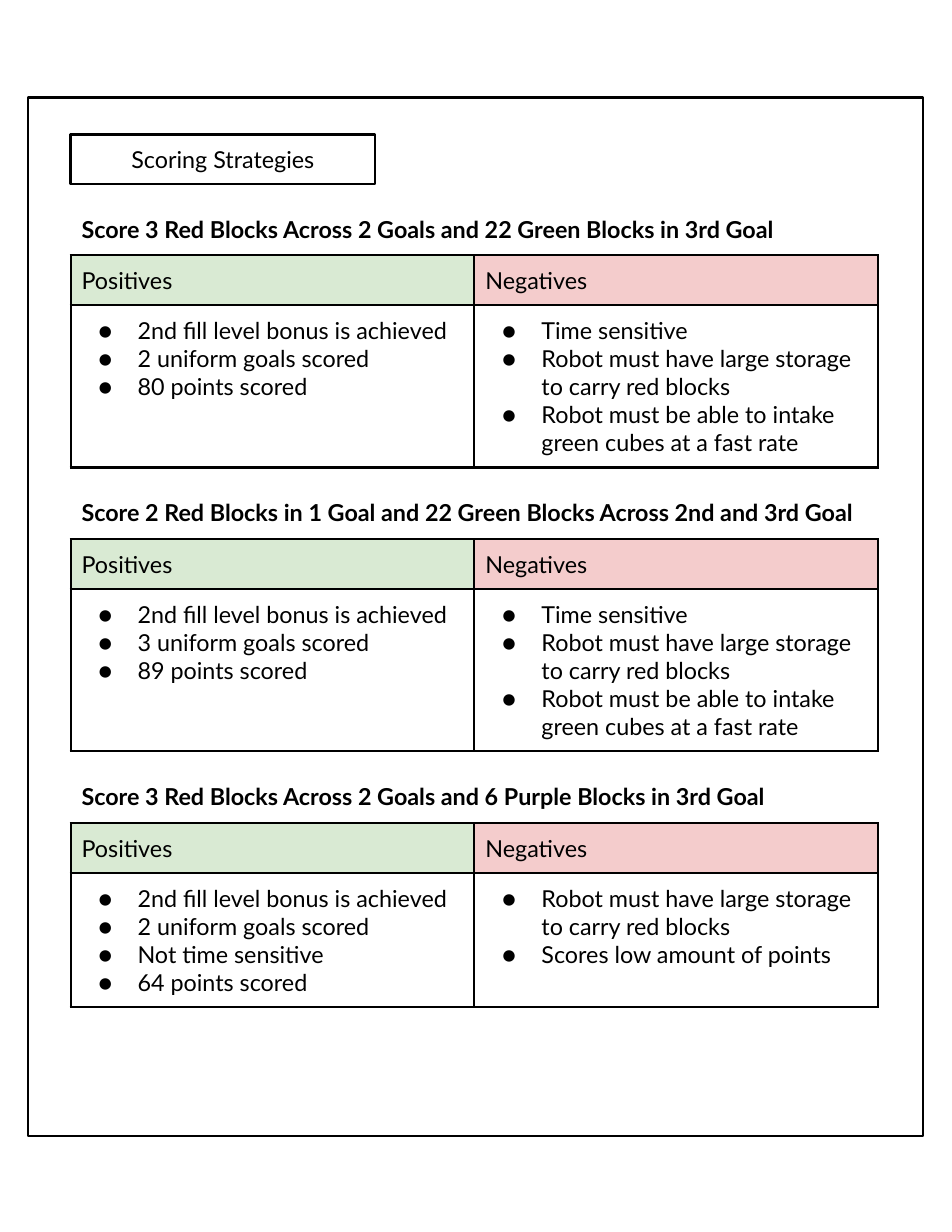
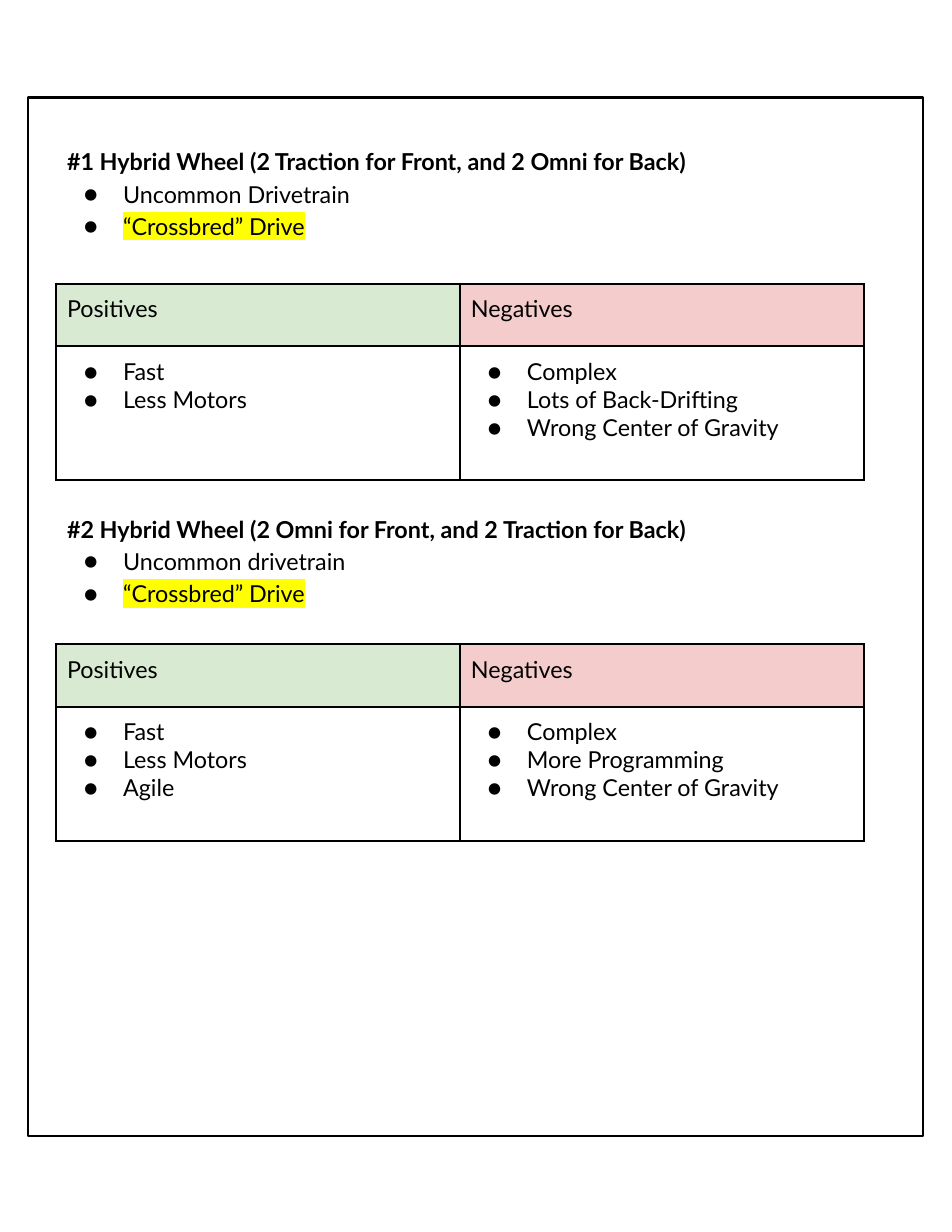
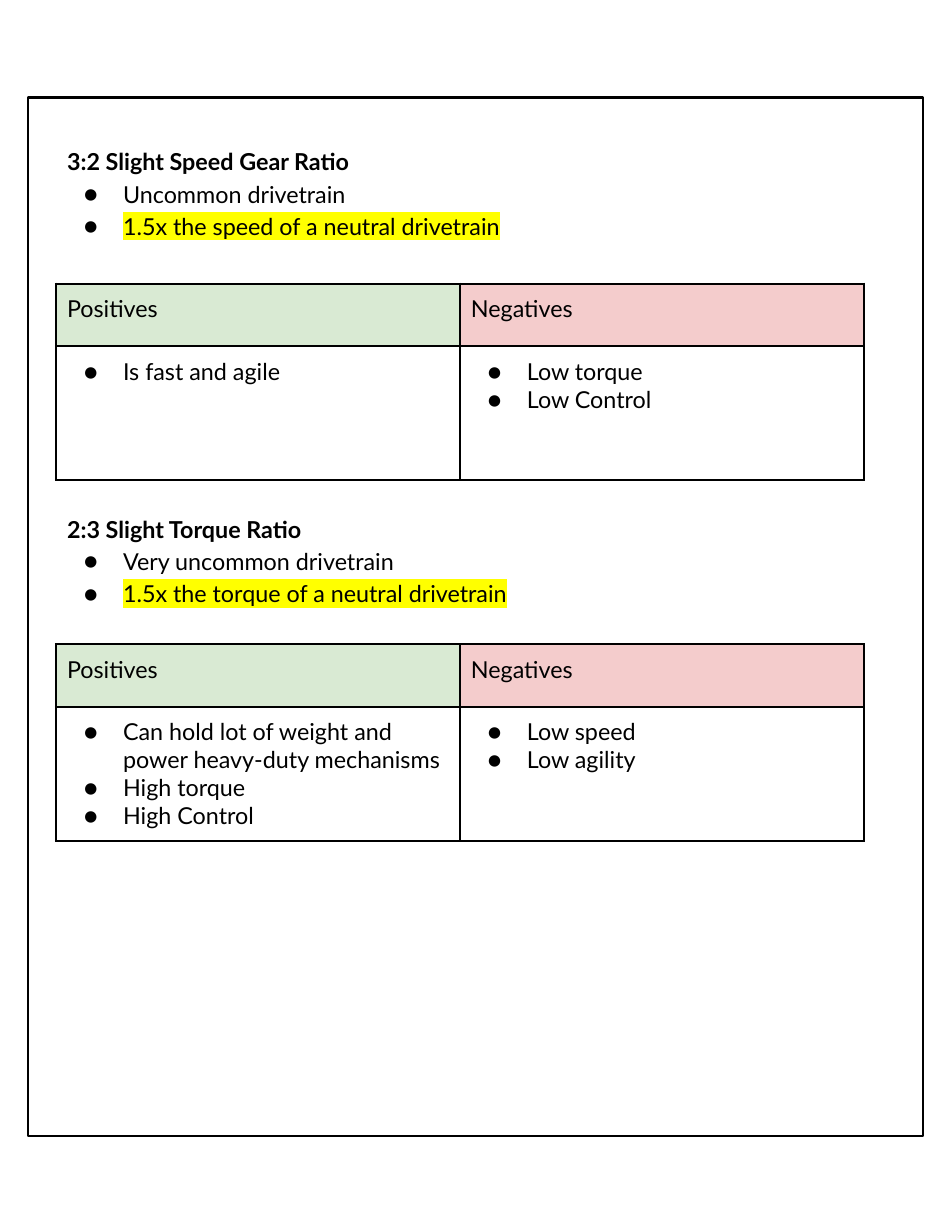
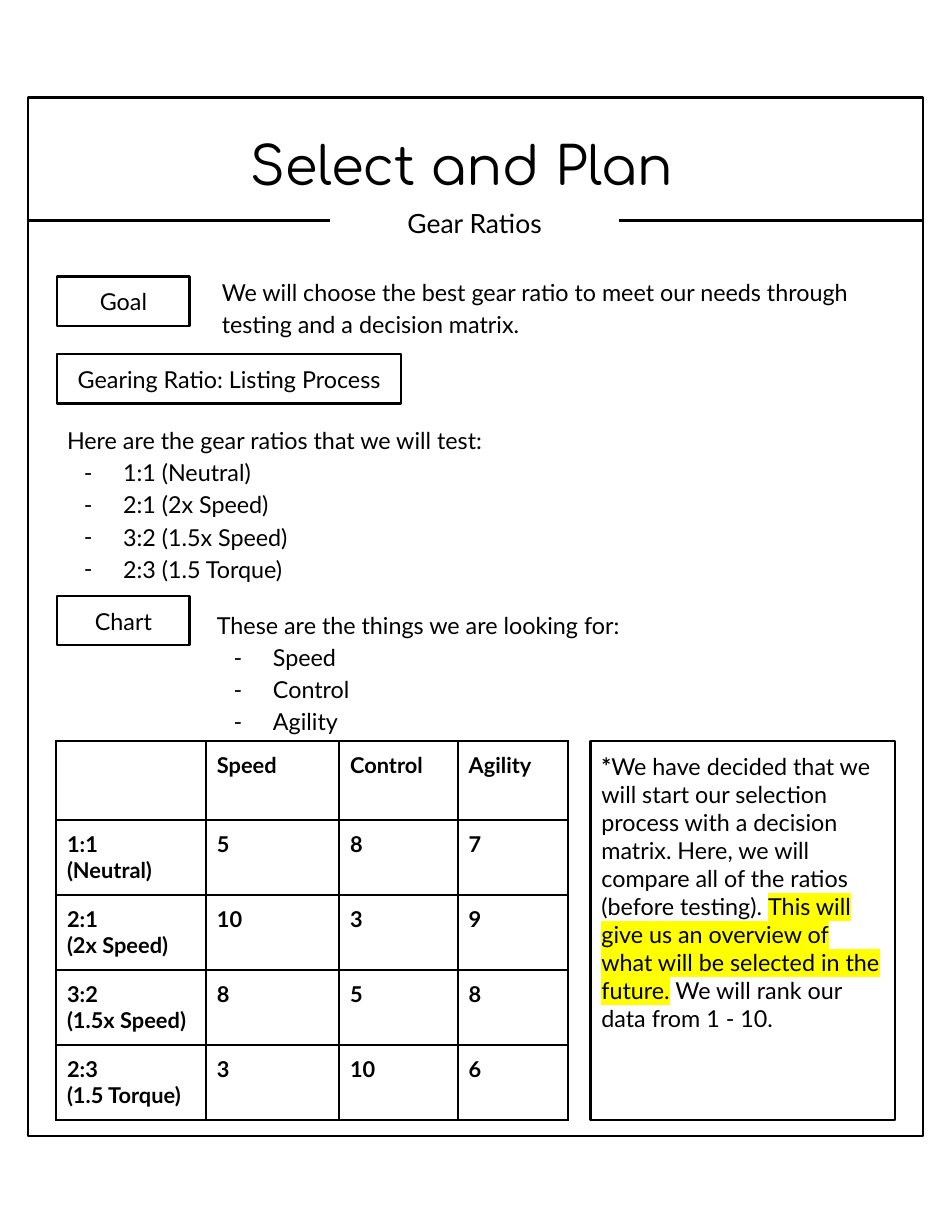
from dataclasses import dataclass

from lxml import etree
from pptx import Presentation
from pptx.dml.color import RGBColor as Rgb
from pptx.enum.shapes import MSO_CONNECTOR as Connector, MSO_SHAPE as Shape
from pptx.enum.text import MSO_ANCHOR as Anchor, MSO_AUTO_SIZE as AutoSize, PP_ALIGN as Align
from pptx.oxml.ns import qn
from pptx.util import Cm, Pt


# ---- Theme and text model ----
@dataclass(frozen=True)
class Theme:
    ink: str = "000000"
    positive: str = "D9EAD3"
    negative: str = "F4CCCC"
    marker: str = "FFFF00"
    font: str = "Lato"
    title_font: str = "Comfortaa"
    title: int = 34
    subtitle: int = 17
    body: int = 15
    grid: int = 14
    rule: float = 1.5
    inset: float = 0.25
    spacing: float = 1.15


@dataclass(frozen=True)
class Line:
    text: str
    bullet: str = ""
    bold: bool = False
    marked: bool = False


THEME = Theme()
TITLE_ONLY, TWO_CONTENT = 5, 3
TAG_HEIGHT = 1.12
COLUMN_WIDTH = 9.16


def bulleted(items, bullet="●"):
    return [Line(item, bullet) for item in items]


# ---- Text helpers ----
def add_color(parent, tag, color):
    holder = etree.SubElement(parent, qn(tag))
    etree.SubElement(holder, qn("a:srgbClr"), val=color)
    return holder


def set_bullet(para, bullet):
    props = para._p.get_or_add_pPr()
    if not bullet:
        props.set("marL", "0")
        props.set("indent", "0")
        etree.SubElement(props, qn("a:buNone"))
        return
    props.set("marL", str(Cm(1.27)))
    props.set("indent", str(-Cm(0.89)))
    add_color(props, "a:buClr", THEME.ink)
    etree.SubElement(props, qn("a:buFont"), typeface=THEME.font)
    etree.SubElement(props, qn("a:buChar"), char=bullet)


def highlight(span):
    add_color(span._r.get_or_add_rPr(), "a:highlight", THEME.marker)


def style_para(para, size, bold=False, bullet="", align=Align.LEFT, spacing=1.0, name=THEME.font):
    set_bullet(para, bullet)
    para.alignment = align
    para.line_spacing = spacing
    para.space_before = para.space_after = Pt(0)
    para.font.size = Pt(size)
    para.font.name = name
    para.font.bold = bold
    para.font.color.rgb = Rgb.from_string(THEME.ink)


def write(frame, lines, size=THEME.body, **style):
    for number, line in enumerate(lines):
        para = frame.add_paragraph() if number else frame.paragraphs[0]
        style_para(para, size, line.bold, line.bullet, **style)
        if line.text:
            span = para.add_run()
            span.text = line.text
            if line.marked:
                highlight(span)


def set_frame(box, anchor=Anchor.TOP):
    frame = box.text_frame
    frame.word_wrap = True
    frame.auto_size = AutoSize.NONE
    frame.vertical_anchor = anchor
    frame.margin_left = frame.margin_right = Cm(THEME.inset)
    frame.margin_top = frame.margin_bottom = Cm(THEME.inset)
    return frame


# ---- Shape helpers ----
def place(box, left, top, width, height):
    box.left, box.top, box.width, box.height = Cm(left), Cm(top), Cm(width), Cm(height)


def set_line(line):
    line.color.rgb = Rgb.from_string(THEME.ink)
    line.width = Pt(THEME.rule)


def add_outline(page, left, top, width, height):
    box = page.shapes.add_shape(Shape.RECTANGLE, Cm(left), Cm(top), Cm(width), Cm(height))
    box.shadow.inherit = False
    box.fill.background()
    set_line(box.line)
    return box


def add_tag(page, text, left, top, width):
    box = add_outline(page, left, top, width, TAG_HEIGHT)
    write(set_frame(box), [Line(text)], align=Align.CENTER)


def add_text(page, lines, left, top, width, height, anchor=Anchor.TOP, **style):
    box = page.shapes.add_textbox(Cm(left), Cm(top), Cm(width), Cm(height))
    write(set_frame(box, anchor), lines, **style)
    return box


def fill_placeholder(box, lines, left, top, width, height, anchor=Anchor.TOP, **style):
    place(box, left, top, width, height)
    write(set_frame(box, anchor), lines, **style)


def add_rule(page, start, end, top):
    rule = page.shapes.add_connector(Connector.STRAIGHT, Cm(start), Cm(top), Cm(end), Cm(top))
    set_line(rule.line)
    etree.SubElement(rule._element.spPr, qn("a:effectLst"))
    return rule


def add_page(deck, layout):
    page = deck.slides.add_slide(deck.slide_layouts[layout])
    add_outline(page, 0.64, 2.21, 20.29, 23.55)
    return page


# ---- Table helpers ----
def set_borders(cell):
    props = cell._tc.get_or_add_tcPr()
    for position, side in enumerate(("a:lnL", "a:lnR", "a:lnT", "a:lnB")):
        border = etree.Element(qn(side), w=str(Pt(THEME.rule)))
        add_color(border, "a:solidFill", THEME.ink)
        props.insert(position, border)


def add_grid(page, left, top, widths, heights, rows, size, fills=None):
    """Draw a table; rows hold lists of lines, fills colour the first row."""
    table = page.shapes.add_table(len(heights), len(widths), Cm(left), Cm(top),
                                  Cm(sum(widths)), Cm(sum(heights))).table
    table.first_row = table.horz_banding = False
    for column, width in zip(table.columns, widths):
        column.width = Cm(width)
    for number, (row, height, contents) in enumerate(zip(table.rows, heights, rows)):
        row.height = Cm(height)
        for position, (cell, lines) in enumerate(zip(row.cells, contents)):
            if fills and number == 0:
                cell.fill.solid()
                cell.fill.fore_color.rgb = Rgb.from_string(fills[position])
            else:
                cell.fill.background()
            set_borders(cell)
            cell.margin_left = cell.margin_right = Cm(THEME.inset)
            cell.margin_top = cell.margin_bottom = Cm(THEME.inset)
            write(cell.text_frame, lines, size)


def add_comparison(page, left, top, heights, positives, negatives):
    rows = [[[Line("Positives")], [Line("Negatives")]],
            [bulleted(positives), bulleted(negatives)]]
    add_grid(page, left, top, [COLUMN_WIDTH] * 2, heights, rows, THEME.body,
             (THEME.positive, THEME.negative))


# ---- Pages ----
def build_strategies(deck):
    page = add_page(deck, TITLE_ONLY)
    left, first_top, pitch = 1.6, 4.62, 6.44
    fill_placeholder(page.shapes.title, [Line("Scoring Strategies")],
                     left, 3.05, 6.91, TAG_HEIGHT, size=THEME.body, align=Align.CENTER)
    set_line(page.shapes.title.line)

    bonus = "2nd fill level bonus is achieved"
    storage = "Robot must have large storage to carry red blocks"
    slow = ["Time sensitive", storage, "Robot must be able to intake green cubes at a fast rate"]
    strategies = [
        ("Score 3 Red Blocks Across 2 Goals and 22 Green Blocks in 3rd Goal",
         [bonus, "2 uniform goals scored", "80 points scored"], slow),
        ("Score 2 Red Blocks in 1 Goal and 22 Green Blocks Across 2nd and 3rd Goal",
         [bonus, "3 uniform goals scored", "89 points scored"], slow),
        ("Score 3 Red Blocks Across 2 Goals and 6 Purple Blocks in 3rd Goal",
         [bonus, "2 uniform goals scored", "Not time sensitive", "64 points scored"],
         [storage, "Scores low amount of points"]),
    ]
    for number, (heading, positives, negatives) in enumerate(strategies):
        top = first_top + number * pitch
        add_text(page, [Line(heading, bold=True)], left, top, 18.31, TAG_HEIGHT)
        add_comparison(page, left, top + 1.17, [0.97, 2.06], positives, negatives)


def build_options(deck, options, intro_height):
    """Two options, each with a short introduction and a comparison table."""
    page = add_page(deck, TWO_CONTENT)
    title, *intros = page.placeholders
    title._element.getparent().remove(title._element)
    for number, (intro, option) in enumerate(zip(intros, options)):
        heading, rarity, key_point, positives, negatives = option
        lines = [Line(heading, bold=True), Line(rarity, "●"), Line(key_point, "●", marked=True)]
        fill_placeholder(intro, lines, 1.27, 3 + number * 8.33, 15.6, intro_height,
                         spacing=THEME.spacing)
        add_comparison(page, 1.27, 6.43 + number * 8.18, [1.42, 3.04], positives, negatives)


def add_note(page):
    box = add_outline(page, 13.39, 16.81, 6.91, 8.59)
    para = set_frame(box).paragraphs[0]
    style_para(para, THEME.body)
    star, reason, overview, ranking = [para.add_run() for _ in range(4)]
    star.text = "*"
    star.font.bold = True
    reason.text = ("We have decided that we will start our selection process with a decision "
                   "matrix. Here, we will compare all of the ratios (before testing). ")
    overview.text = "This will give us an overview of what will be selected in the future."
    highlight(overview)
    ranking.text = " We will rank our data from 1 - 10."


def build_plan(deck):
    page = add_page(deck, TWO_CONTENT)
    title, ratio_list, criteria_list = page.placeholders
    spacing = THEME.spacing

    # Title band
    fill_placeholder(title, [Line("Select and Plan")], 0.89, 2.21, 19.15, 2.84, Anchor.MIDDLE,
                     size=THEME.title, name=THEME.title_font, align=Align.CENTER, spacing=spacing)
    subtitle = add_text(page, [Line("Gear Ratios")], 7.49, 4.55, 6.55, 0.9, Anchor.MIDDLE,
                        size=THEME.subtitle, align=Align.CENTER, spacing=spacing)
    add_rule(page, 0.64, 7.49, 5).end_connect(subtitle, 1)
    add_rule(page, 14.04, 20.96, 5).begin_connect(subtitle, 3)

    # Section tags and text
    for text, top, width in [("Goal", 6.27, 3), ("Gearing Ratio: Listing Process", 8.03, 7.8),
                             ("Chart", 13.51, 3)]:
        add_tag(page, text, 1.3, top, width)
    goal = "We will choose the best gear ratio to meet our needs through testing and a decision matrix."
    add_text(page, [Line(goal)], 4.78, 5.97, 15.27, 2.24, spacing=spacing)

    scores = [("1:1", "(Neutral)", 5, 8, 7), ("2:1", "(2x Speed)", 10, 3, 9),
              ("3:2", "(1.5x Speed)", 8, 5, 8), ("2:3", "(1.5 Torque)", 3, 10, 6)]
    criteria = ["Speed", "Control", "Agility"]
    ratios = [f"{ratio} {label}" for ratio, label, *_ in scores]
    fill_placeholder(ratio_list,
                     [Line("Here are the gear ratios that we will test:"), *bulleted(ratios, "-")],
                     1.27, 9.32, 10.69, 3.84, spacing=spacing)
    fill_placeholder(criteria_list,
                     [Line("These are the things we are looking for:"), *bulleted(criteria, "-")],
                     4.67, 13.51, 10.69, 3.3, spacing=spacing)

    # Decision matrix
    rows = [[[Line(text, bold=True)] for text in ["", *criteria]]]
    for ratio, label, *values in scores:
        rows.append([[Line(ratio, bold=True), Line(label, bold=True)],
                     *[[Line(str(value), bold=True)] for value in values]])
    add_grid(page, 1.27, 16.81, [3.4, 3.02, 2.69, 2.51], [1.78] + [1.7] * 4, rows, THEME.grid)
    add_note(page)


def main():
    deck = Presentation()
    deck.slide_width, deck.slide_height = Cm(21.59), Cm(27.94)
    build_strategies(deck)
    build_options(deck, [
        ("#1 Hybrid Wheel (2 Traction for Front, and 2 Omni for Back)",
         "Uncommon Drivetrain", "“Crossbred” Drive", ["Fast", "Less Motors"],
         ["Complex", "Lots of Back-Drifting", "Wrong Center of Gravity"]),
        ("#2 Hybrid Wheel (2 Omni for Front, and 2 Traction for Back)",
         "Uncommon drivetrain", "“Crossbred” Drive", ["Fast", "Less Motors", "Agile"],
         ["Complex", "More Programming", "Wrong Center of Gravity"]),
    ], 2.62)
    build_options(deck, [
        ("3:2 Slight Speed Gear Ratio", "Uncommon drivetrain",
         "1.5x the speed of a neutral drivetrain", ["Is fast and agile"],
         ["Low torque", "Low Control"]),
        ("2:3 Slight Torque Ratio", "Very uncommon drivetrain",
         "1.5x the torque of a neutral drivetrain",
         ["Can hold lot of weight and power heavy-duty mechanisms", "High torque", "High Control"],
         ["Low speed", "Low agility"]),
    ], 2.82)
    build_plan(deck)
    deck.save("out.pptx")


if __name__ == "__main__":
    main()
